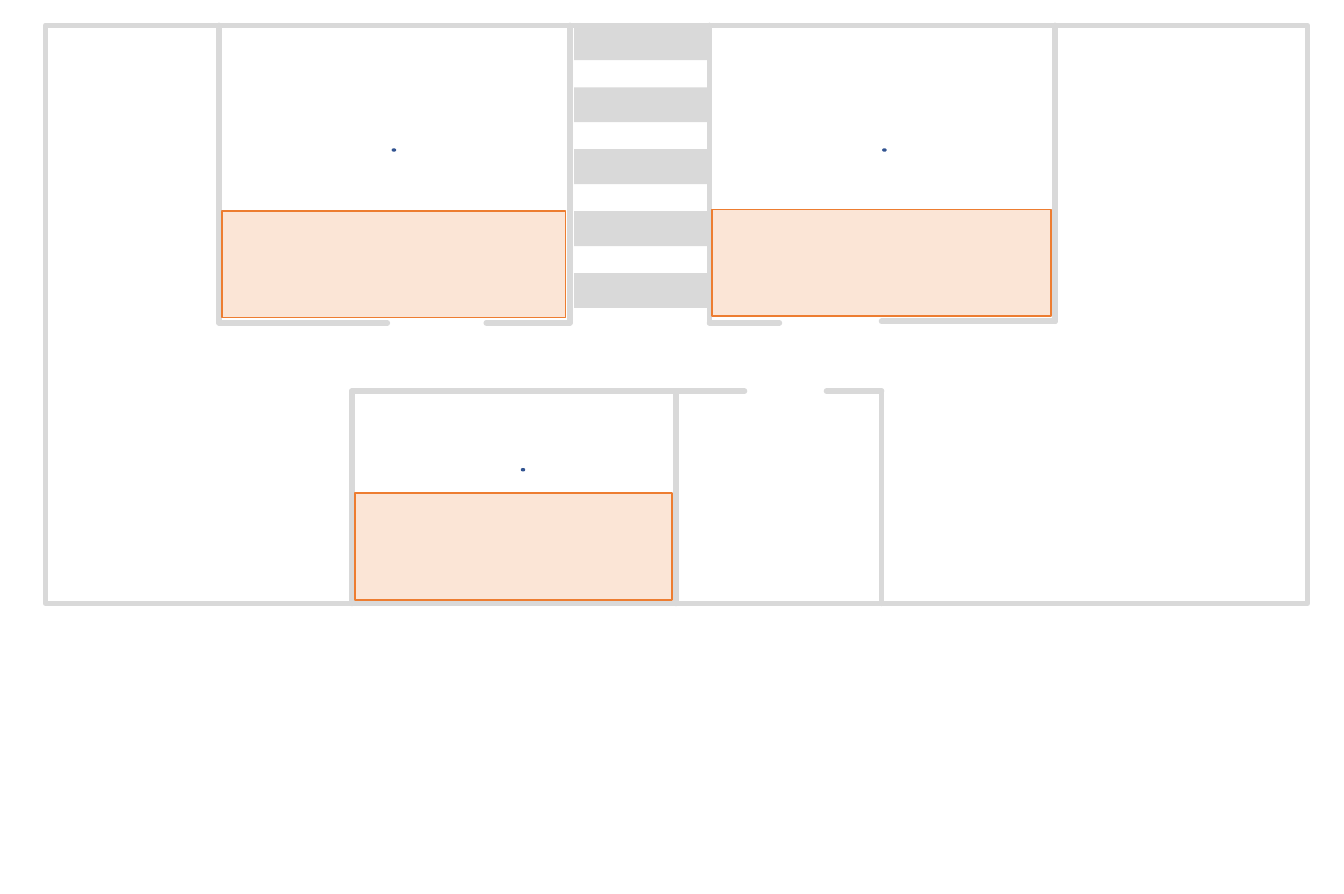
from lxml import etree
from pptx import Presentation
from pptx.dml.color import RGBColor
from pptx.enum import shapes
from pptx.oxml.ns import qn
from pptx.util import Cm, Pt

WALL, ZONE, ZONE_EDGE, MARK, MARK_EDGE = "D9D9D9", "FBE5D6", "ED7D31", "4472C4", "325491"
TOP, BOTTOM = 0.48, 11.4
UPPER_LEFT, UPPER_RIGHT, LOWER = 6.1, 6.07, 7.39

building = (0.86, TOP, 23.85, BOTTOM - TOP)
upright_walls = [
    (4.14, TOP, UPPER_LEFT),
    (10.77, TOP, UPPER_LEFT),
    (13.41, TOP, UPPER_LEFT),
    (19.94, TOP, UPPER_RIGHT),
    (6.65, LOWER, BOTTOM),
    (12.78, LOWER, BOTTOM),
    (16.66, LOWER, BOTTOM),
]
level_walls = [
    (UPPER_LEFT, 4.14, 7.32),
    (UPPER_LEFT, 9.19, 10.77),
    (UPPER_LEFT, 13.41, 14.73),
    (LOWER, 6.65, 14.07),
    (LOWER, 15.62, 16.66),
    (UPPER_RIGHT, 16.66, 19.94),
]
step_count, step_pitch = 5, 1.17
zones = [(13.46, 3.96, 6.4), (4.19, 3.99, 6.5), (6.71, 9.32, 5.99)]
zone_height = 2.01
marks = [(7.42, 2.82), (16.69, 2.82), (9.86, 8.86)]

deck = Presentation()
deck.slide_width, deck.slide_height = Cm(25.4), Cm(16.89)
plan = deck.slides.add_slide(deck.slide_layouts[6])


def colour(value):
    return RGBColor.from_string(value)


def stroke(line, value, width):
    line.color.rgb = colour(value)
    line.width = Pt(width)


def area(kind, box, fill=None, edge=None, width=1):
    part = plan.shapes.add_shape(kind, *map(Cm, box))
    part.shadow.inherit = False
    if fill:
        part.fill.solid()
        part.fill.fore_color.rgb = colour(fill)
    else:
        part.fill.background()
    if edge:
        stroke(part.line, edge, width)
    else:
        part.line.fill.background()


def wall(x1, y1, x2, y2):
    part = plan.shapes.add_connector(
        shapes.MSO_CONNECTOR.STRAIGHT, Cm(x1), Cm(y1), Cm(x2), Cm(y2))
    stroke(part.line, WALL, 3)
    properties = part._element.spPr
    properties.find(qn("a:ln")).set("cap", "rnd")
    etree.SubElement(properties, qn("a:effectLst"))


RECTANGLE, OVAL = shapes.MSO_SHAPE.RECTANGLE, shapes.MSO_SHAPE.OVAL

area(RECTANGLE, building, edge=WALL, width=3)
for x, start, end in upright_walls:
    wall(x, start, x, end)
for y, start, end in level_walls:
    wall(start, y, end, y)
for step in range(step_count):
    area(RECTANGLE, (10.85, TOP + step * step_pitch, 2.54, 0.66), WALL)
for x, y, width in zones:
    area(RECTANGLE, (x, y, width, zone_height), ZONE, ZONE_EDGE)
for x, y in marks:
    area(OVAL, (x, y, 0.05, 0.03), MARK, MARK_EDGE)

deck.save("out.pptx")
